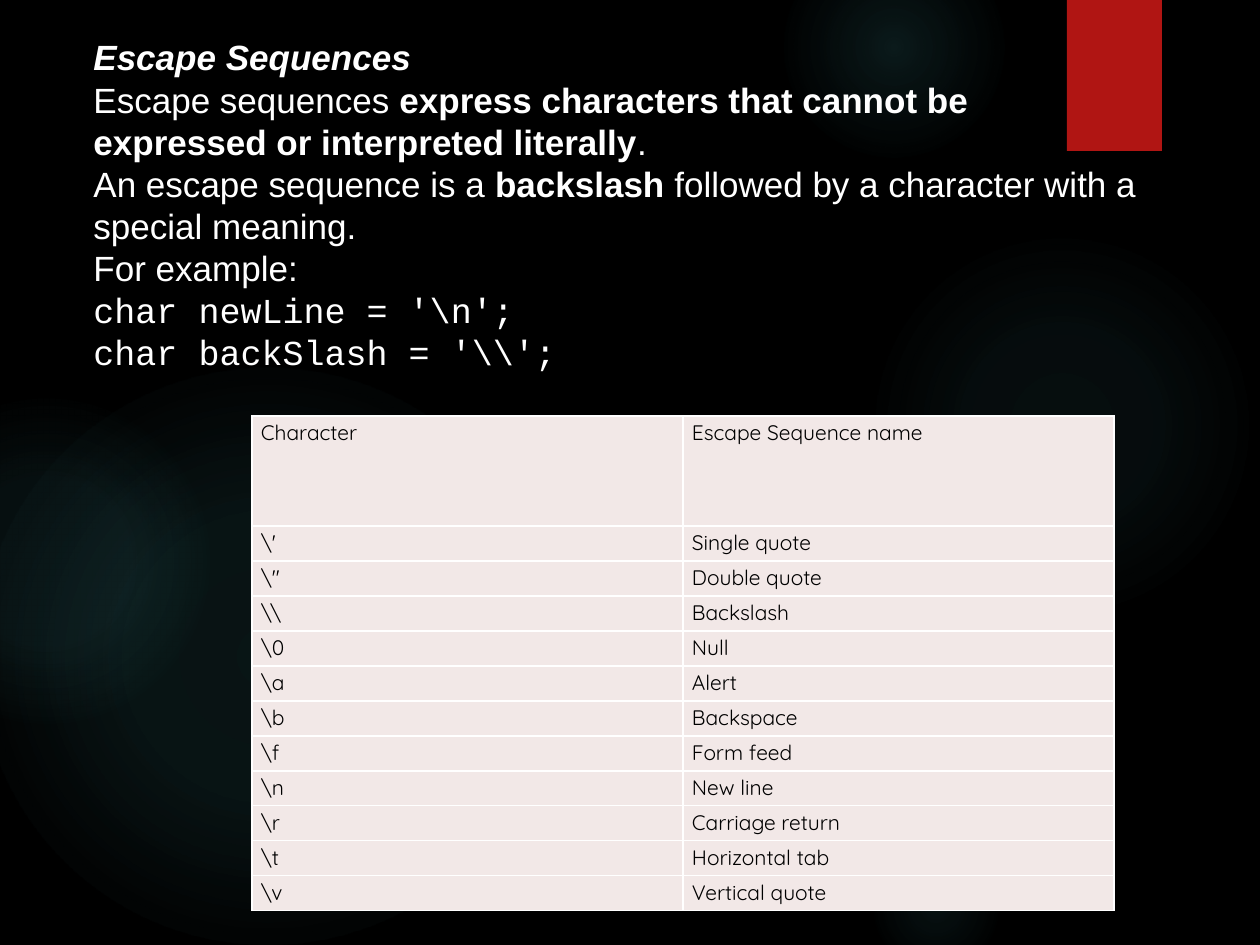
import pptx
import pptx.util
import pptx.dml.color
import pptx.enum.shapes
import pptx.enum.text
import pptx.oxml
import pptx.oxml.ns

RGBColor = pptx.dml.color.RGBColor
SHAPE = pptx.enum.shapes.MSO_SHAPE
BLACK = RGBColor(0x00, 0x00, 0x00)
WHITE = RGBColor(0xFF, 0xFF, 0xFF)
RED = RGBColor(0xB0, 0x15, 0x13)
PINK = RGBColor(0xF2, 0xE8, 0xE7)
TEAL = RGBColor(0x50, 0xB9, 0xC1)

GLOWS = [
    (868, 231, 388, ((0, 7), (36, 6), (69, 0))),
    (784, -63, 220, ((0, 14), (36, 7), (73, 0))),
    (868, 840, 136, ((0, 9), (36, 5), (66, 0))),
    (-21, 368, 577, ((0, 11), (36, 10), (75, 0))),
    (-116, 399, 325, ((0, 8), (36, 8), (72, 0))),
]

BOLD = {"bold": True}
CODE = {"name": "Courier New"}
PARAGRAPHS = [
    [("Escape Sequences", {"bold": True, "italic": True})],
    [("Escape sequences ", {}),
     ("express characters that cannot be expressed or interpreted literally", BOLD),
     (".", {})],
    [("An escape sequence is a ", {}), ("backslash", BOLD),
     (" followed by a character with a special meaning.", {})],
    [("For example:", {})],
    [(r"char newLine = '\n';", CODE)],
    [(r"char backSlash = '\\';", CODE)],
]

ROWS = [
    ("Character", "Escape Sequence name"),
    (r"\'", "Single quote"),
    (r'\"', "Double quote"),
    (r"\\", "Backslash"),
    (r"\0", "Null"),
    (r"\a", "Alert"),
    (r"\b", "Backspace"),
    (r"\f", "Form feed"),
    (r"\n", "New line"),
    (r"\r", "Carriage return"),
    (r"\t", "Horizontal tab"),
    (r"\v", "Vertical quote"),
]
HEADER_H, ROW_H, COL_W = 110, 35, 431

NS = pptx.oxml.ns.nsdecls("a")


def px(n):
    return pptx.util.Emu(round(n * 914400 / 126))


def add_run(p, text, size, color, name, **fmt):
    r = p.add_run()
    r.text = text
    r.font.color.rgb = color
    for key, value in {"size": pptx.util.Pt(size), "name": name, **fmt}.items():
        setattr(r.font, key, value)


def add_block(s, kind, x, y, w, h, color):
    sp = s.shapes.add_shape(kind, px(x), px(y), px(w), px(h))
    sp.shadow.inherit = False
    sp.line.fill.background()
    sp.fill.solid()
    sp.fill.fore_color.rgb = color
    return sp


def add_glow(s, x, y, d, stops):
    sp = add_block(s, SHAPE.OVAL, x, y, d, d, TEAL)
    gs = "".join(
        f'<a:gs pos="{pos * 1000}"><a:srgbClr val="{TEAL}">'
        f'<a:alpha val="{alpha * 1000}"/></a:srgbClr></a:gs>'
        for pos, alpha in stops)
    grad = pptx.oxml.parse_xml(
        f'<a:gradFill {NS} rotWithShape="1"><a:gsLst>{gs}</a:gsLst><a:path path="circle">'
        '<a:fillToRect l="50000" t="50000" r="50000" b="50000"/></a:path></a:gradFill>')
    solid = sp.fill._xPr.find(pptx.oxml.ns.qn("a:solidFill"))
    solid.getparent().replace(solid, grad)


def add_borders(cell):
    tcPr = cell._tc.get_or_add_tcPr()
    for i, side in enumerate(("lnL", "lnR", "lnT", "lnB")):
        tcPr.insert(i, pptx.oxml.parse_xml(
            f'<a:{side} {NS} w="12700"><a:solidFill><a:srgbClr val="{WHITE}"/>'
            f'</a:solidFill></a:{side}>'))


def add_escape_table(s, x, y):
    height = HEADER_H + ROW_H * (len(ROWS) - 1)
    table = s.shapes.add_table(len(ROWS), 2, px(x), px(y), px(2 * COL_W), px(height)).table
    for col in table.columns:
        col.width = px(COL_W)
    for i, texts in enumerate(ROWS):
        table.rows[i].height = px(ROW_H if i else HEADER_H)
        for j, text in enumerate(texts):
            cell = table.cell(i, j)
            cell.fill.solid()
            cell.fill.fore_color.rgb = PINK
            cell.margin_left = cell.margin_right = px(9)
            cell.margin_top = cell.margin_bottom = 0
            p = cell.text_frame.paragraphs[0]
            p.line_spacing = 1.15
            add_run(p, text, 12, BLACK, "Quicksand", bold=False)
            add_borders(cell)


def add_explanation(s, x, y, w, h):
    tf = s.shapes.add_textbox(px(x), px(y), px(w), px(h)).text_frame
    tf.word_wrap = True
    tf.vertical_anchor = pptx.enum.text.MSO_ANCHOR.TOP
    tf.margin_top = px(10)
    for i, runs in enumerate(PARAGRAPHS):
        p = tf.add_paragraph() if i else tf.paragraphs[0]
        p.line_spacing = pptx.util.Pt(24)
        for text, fmt in runs:
            add_run(p, text, 20, WHITE, **{"name": "Arial", **fmt})


def main():
    prs = pptx.Presentation()
    prs.slide_width, prs.slide_height = px(1260), px(945)
    s = prs.slides.add_slide(prs.slide_layouts[6])
    s.background.fill.solid()
    s.background.fill.fore_color.rgb = BLACK
    for glow in GLOWS:
        add_glow(s, *glow)
    add_block(s, SHAPE.RECTANGLE, 1067, 0, 95, 151, RED)
    add_escape_table(s, 252, 416)
    add_explanation(s, 81, 26, 1075, 390)
    prs.save("out.pptx")


if __name__ == "__main__":
    main()
